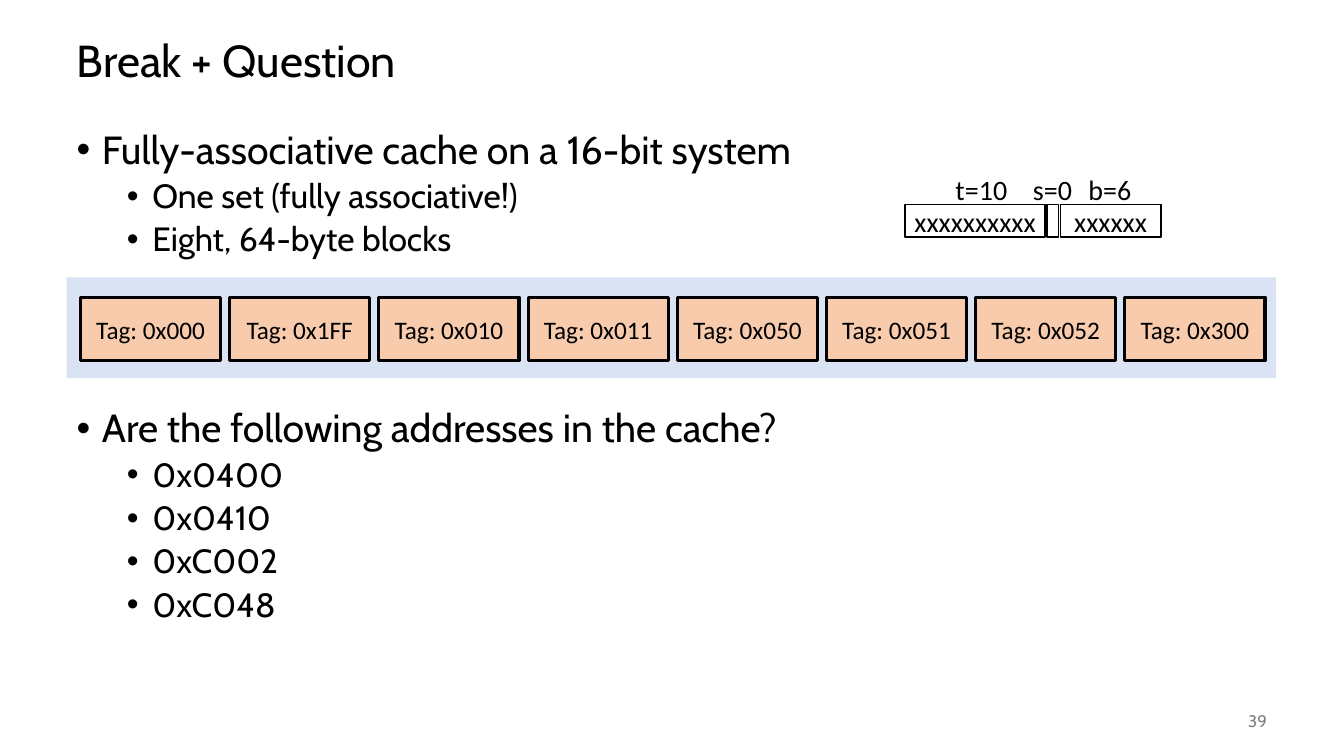
from lxml.etree import SubElement
from pptx import Presentation
from pptx.dml.color import RGBColor
from pptx.enum.shapes import MSO_SHAPE
from pptx.enum.text import MSO_ANCHOR, MSO_AUTO_SIZE, PP_ALIGN
from pptx.oxml.ns import qn
from pptx.util import Cm, Pt

TITLE = "Break + Question"
PAGE_NUMBER = "39"
OUTLINES = [
    (3.16, 5.2, [
        (0, "Fully-associative cache on a 16-bit system"),
        (1, "One set (fully associative!)"),
        (1, "Eight, 64-byte blocks"),
    ]),
    (10.18, 6.6, [
        (0, "Are the following addresses in the cache?"),
        (1, "0x0400"),
        (1, "0x0410"),
        (1, "0xC002"),
        (1, "0xC048"),
    ]),
]
TAGS = ["0x000", "0x1FF", "0x010", "0x011", "0x050", "0x051", "0x052", "0x300"]
ADDRESS_FIELDS = [
    (22.81, 3.53, "xxxxxxxxxx", 23.83, 1.95, "t=10"),
    (26.39, 0.28, "", 25.78, 1.6, "s=0"),
    (26.72, 2.54, "xxxxxx", 27.18, 1.7, "b=6"),
]
LEVELS = [(28, 14, 0.64), (24, 5, 1.91)]

BLACK = RGBColor(0, 0, 0)
WHITE = RGBColor(255, 255, 255)
GRAY = RGBColor(0x80, 0x80, 0x80)
SET_BLUE = RGBColor(0xDA, 0xE3, 0xF3)
BLOCK_ORANGE = RGBColor(0xF8, 0xCB, 0xAD)

LEFT, WIDTH = 1.68, 30.48
BULLET_INDENT = 0.64
ROW_LEFT, BLOCK_WIDTH, BLOCK_PITCH = 2.03, 3.53, 3.76


def style(para, size, font="Calibri", color=BLACK, align=PP_ALIGN.LEFT):
    para.alignment = align
    para.font.size = Pt(size)
    para.font.name = font
    para.font.color.rgb = color


def add_text(page, left, top, width, height, wrap=True):
    box = page.shapes.add_textbox(Cm(left), Cm(top), Cm(width), Cm(height))
    box.text_frame.word_wrap = wrap
    return box.text_frame


def add_outline(page, top, height, lines):
    frame = add_text(page, LEFT, top, WIDTH, height)
    for index, (level, text) in enumerate(lines):
        para = frame.paragraphs[0] if index == 0 else frame.add_paragraph()
        size, space, margin = LEVELS[level]
        para.text = text
        para.level = level
        properties = para._p.get_or_add_pPr()
        properties.set("marL", str(Cm(margin)))
        properties.set("indent", str(-Cm(BULLET_INDENT)))
        SubElement(properties, qn("a:buFont")).set("typeface", "Arial")
        SubElement(properties, qn("a:buChar")).set("char", "•")
        para.line_spacing = 0.9
        if index:
            para.space_before = Pt(space)
        style(para, size, "Cabin")


def add_rectangle(page, left, top, width, height, fill, line_width=0, text="", size=18, wrap=True):
    box = page.shapes.add_shape(MSO_SHAPE.RECTANGLE, Cm(left), Cm(top), Cm(width), Cm(height))
    box.shadow.inherit = False
    box.fill.solid()
    box.fill.fore_color.rgb = fill
    if line_width:
        box.line.color.rgb = BLACK
        box.line.width = Pt(line_width)
    else:
        box.line.fill.background()
    if text:
        frame = box.text_frame
        frame.word_wrap = wrap
        frame.vertical_anchor = MSO_ANCHOR.MIDDLE
        frame.text = text
        style(frame.paragraphs[0], size, align=PP_ALIGN.CENTER)


def main():
    deck = Presentation()
    deck.slide_width, deck.slide_height = Cm(33.87), Cm(19.05)
    page = deck.slides.add_slide(deck.slide_layouts[5])

    title = page.shapes.title
    title.left, title.top, title.width, title.height = Cm(LEFT), Cm(0.64), Cm(WIDTH), Cm(1.9)
    frame = title.text_frame
    frame.text = TITLE
    frame.auto_size = MSO_AUTO_SIZE.NONE
    frame.vertical_anchor = MSO_ANCHOR.MIDDLE
    frame.paragraphs[0].line_spacing = 0.9
    style(frame.paragraphs[0], 32, "Cabin")

    for top, height, lines in OUTLINES:
        add_outline(page, top, height, lines)

    number = add_text(page, 29.64, 17.65, 2.54, 1.02)
    number.vertical_anchor = MSO_ANCHOR.MIDDLE
    number.text = PAGE_NUMBER
    style(number.paragraphs[0], 12, "Cabin", GRAY, PP_ALIGN.RIGHT)

    add_rectangle(page, LEFT, 6.99, WIDTH, 2.54, SET_BLUE)
    for index, tag in enumerate(TAGS):
        left = ROW_LEFT + index * BLOCK_PITCH
        add_rectangle(page, left, 7.49, BLOCK_WIDTH, 1.6, BLOCK_ORANGE, 2.25, f"Tag: {tag}")

    for left, width, bits, label_left, label_width, label in ADDRESS_FIELDS:
        add_rectangle(page, left, 5.16, width, 0.81, WHITE, 1, bits, 20, False)
        caption = add_text(page, label_left, 4.22, label_width, 1.09, False)
        caption.text = label
        style(caption.paragraphs[0], 20)

    deck.save("out.pptx")


if __name__ == "__main__":
    main()
